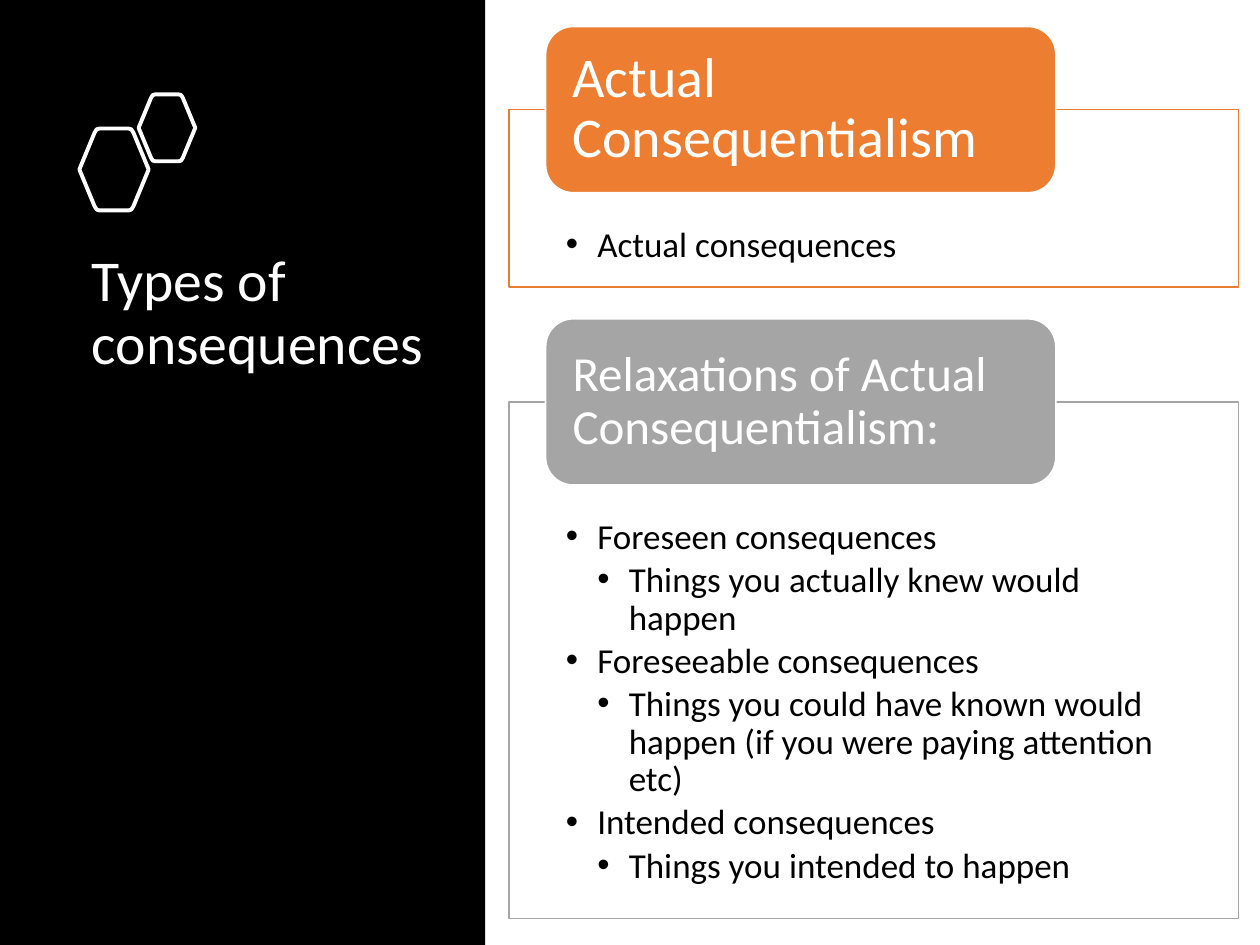
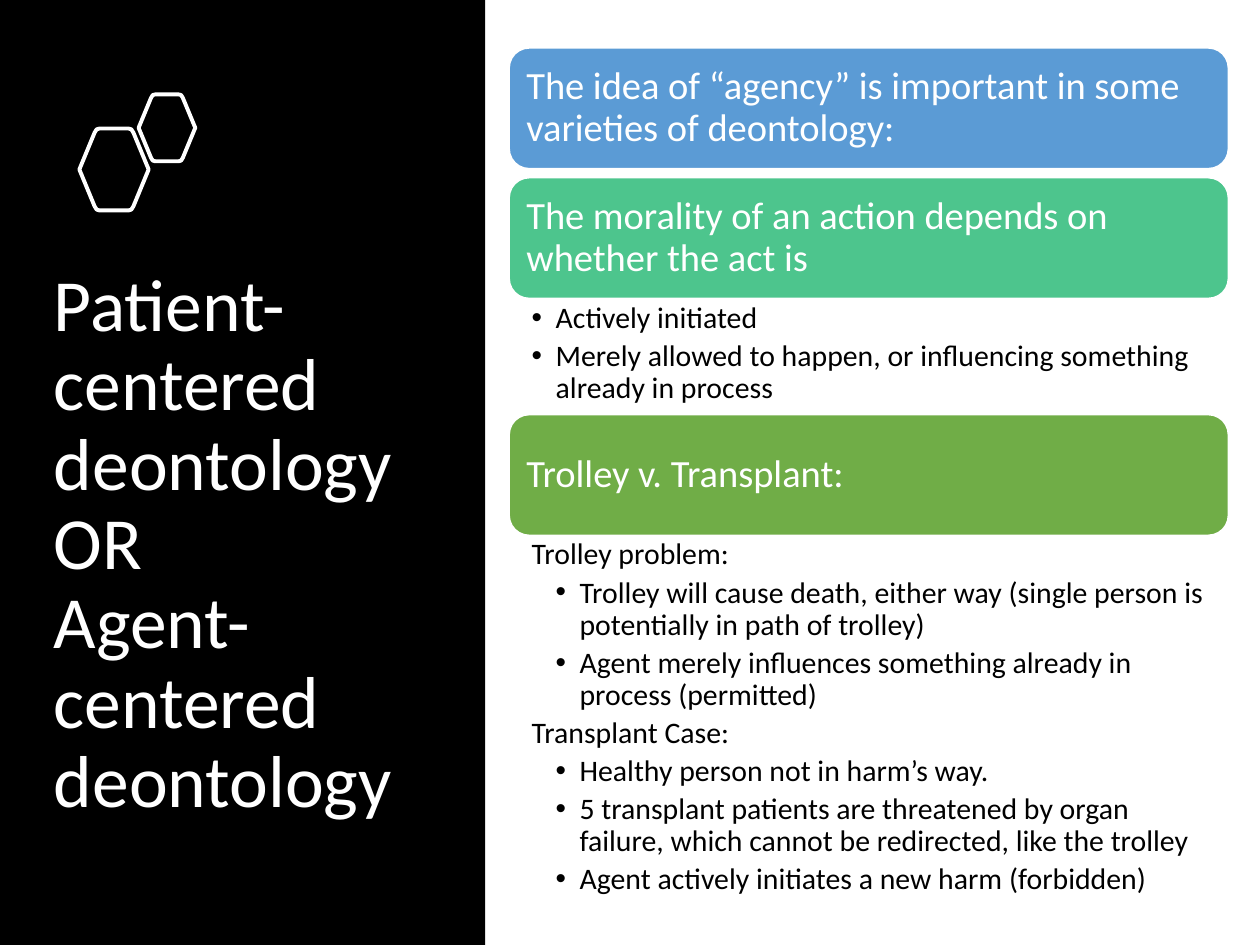
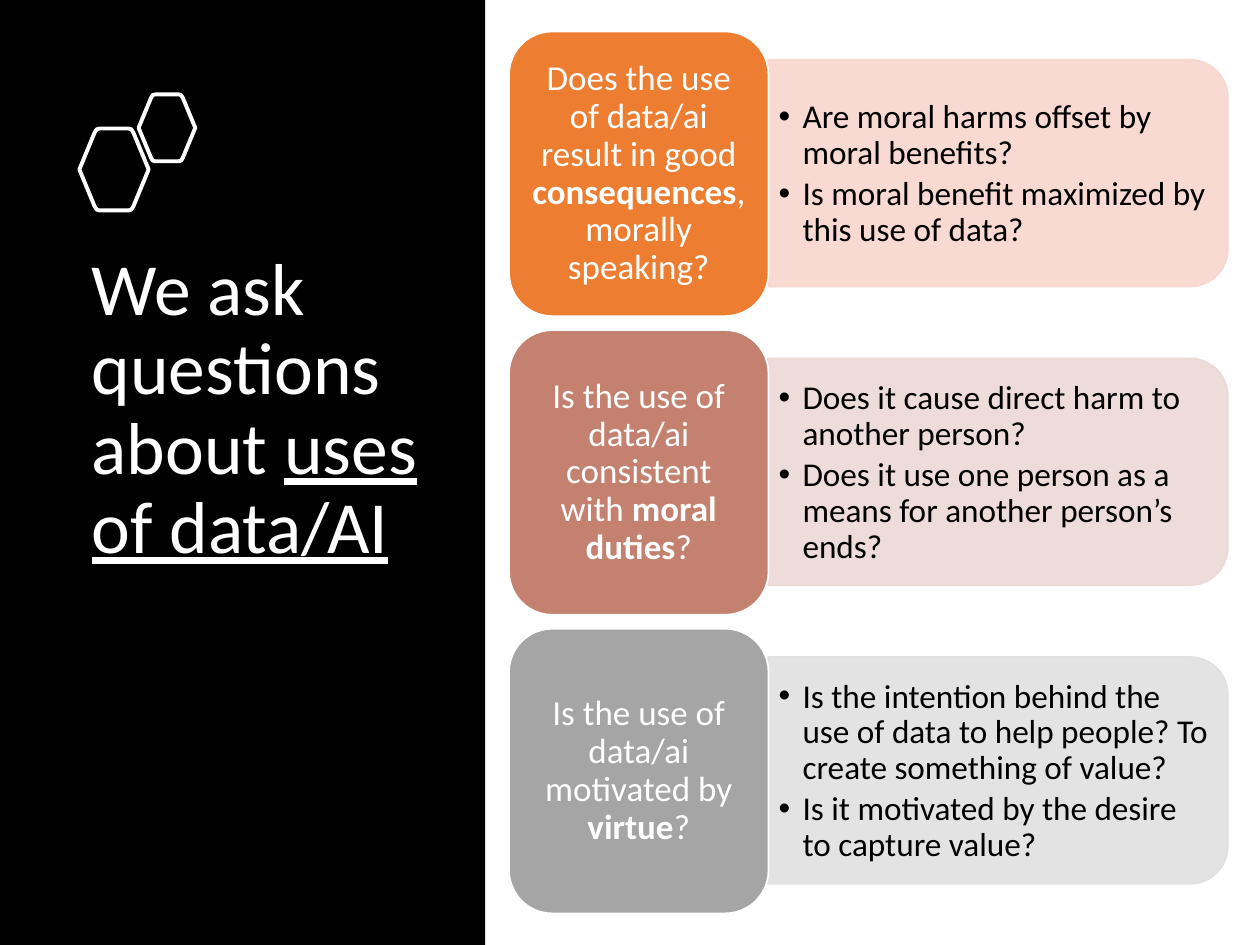
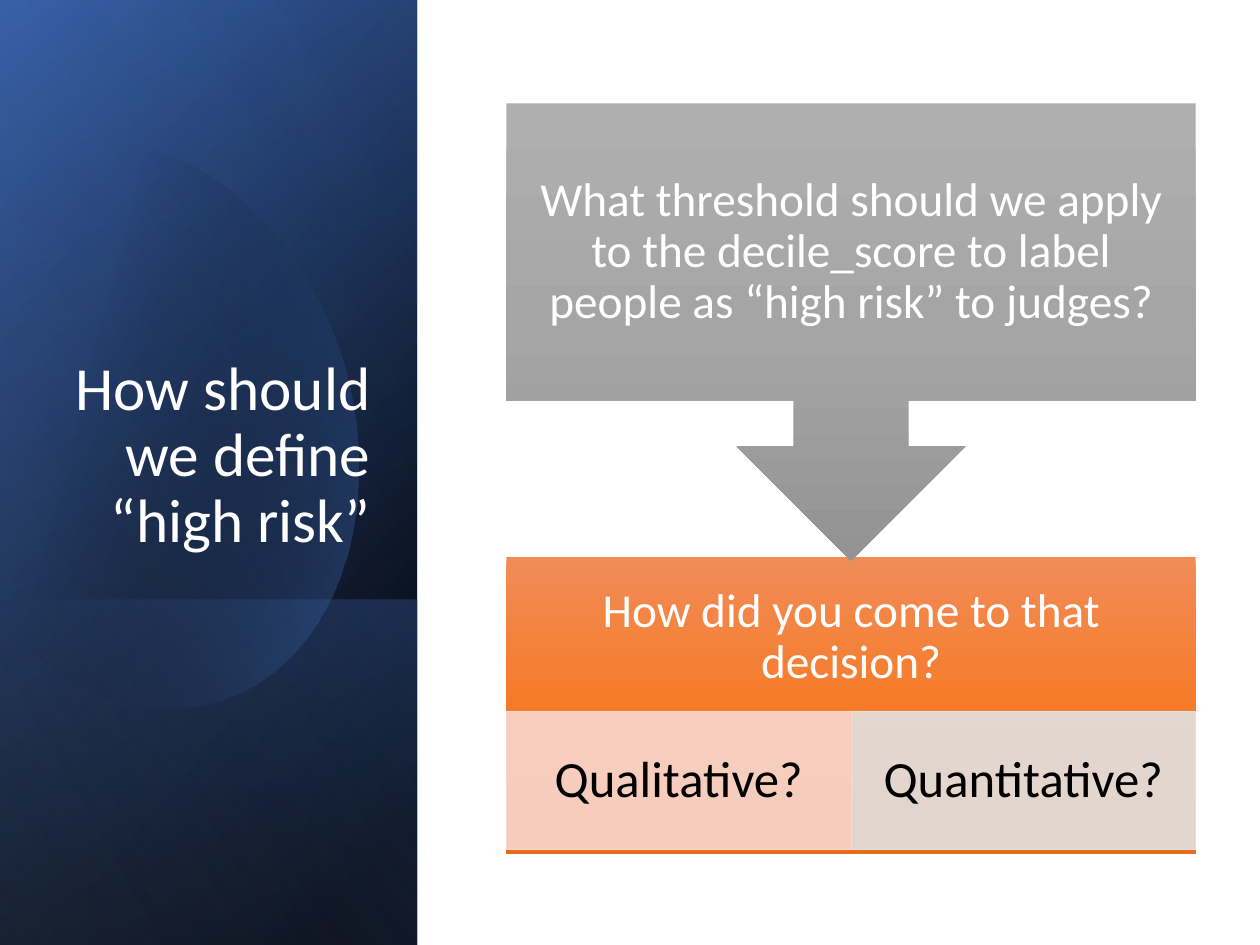
from lxml.etree import SubElement
from pptx import Presentation
from pptx.dml.color import RGBColor
from pptx.enum.shapes import MSO_SHAPE as SHAPE
from pptx.enum.text import MSO_ANCHOR as ANCHOR, PP_ALIGN as ALIGN
from pptx.oxml.ns import qn
from pptx.util import Inches, Pt

FONT = "Calibri"
BLACK, WHITE = "000000", "FFFFFF"
ORANGE, GRAY, BLUE = "ED7D31", "A5A5A5", "4472C4"
PEACH, PALE_GRAY = "F8D7CE", "E1E1E1"


def rgb(color):
    return RGBColor.from_string(color)


def curve(start, c1, c2, end, steps=16):
    """Return points along a cubic curve, without its start."""
    points = []
    for i in range(1, steps + 1):
        t = i / steps
        weights = ((1 - t) ** 3, 3 * t * (1 - t) ** 2, 3 * t * t * (1 - t), t ** 3)
        points.append(tuple(sum(w * q[axis] for w, q in zip(weights, (start, c1, c2, end)))
                            for axis in (0, 1)))
    return points


class Deck:
    """Holds the presentation, its style and the current slide."""

    def __init__(self):
        self.prs = Presentation()
        self.prs.slide_width, self.prs.slide_height = Inches(10), Inches(7.5)
        self.slide = None

    def new_slide(self):
        self.slide = self.prs.slides.add_slide(self.prs.slide_layouts[6])

    def paint(self, s, fill=None, line=None, width=1.0, alpha=100):
        s.shadow.inherit = False
        if fill:
            s.fill.solid()
            s.fill.fore_color.rgb = rgb(fill)
        else:
            s.fill.background()
        if line:
            s.line.color.rgb = rgb(line)
            s.line.width = Pt(width)
        else:
            s.line.fill.background()
        if fill and alpha < 100:
            clr = s._element.spPr.find(qn("a:solidFill")).find(qn("a:srgbClr"))
            SubElement(clr, qn("a:alpha"), val=str(alpha * 1000))

    def gradient(self, s, stops, angle):
        self.paint(s)
        s.fill.gradient()
        s.fill.gradient_angle = (360 - angle) % 360
        stop_list = s._element.spPr.find(qn("a:gradFill")).find(qn("a:gsLst"))
        for old in list(stop_list):
            stop_list.remove(old)
        for pos, color, alpha in stops:
            gs = SubElement(stop_list, qn("a:gs"), pos=str(pos * 1000))
            clr = SubElement(gs, qn("a:srgbClr"), val=color)
            if alpha < 100:
                SubElement(clr, qn("a:alpha"), val=str(alpha * 1000))

    def shape(self, kind, box, **style):
        s = self.slide.shapes.add_shape(kind, *map(Inches, box))
        self.paint(s, **style)
        return s

    def polygon(self, points):
        points = [(Inches(x), Inches(y)) for x, y in points]
        builder = self.slide.shapes.build_freeform(*points[0], scale=1.0)
        builder.add_line_segments(points[1:], close=True)
        return builder.convert_to_shape()

    def frame(self, s, insets, anchor):
        tf = s.text_frame
        tf.word_wrap = True
        tf.vertical_anchor = anchor
        tf.margin_left, tf.margin_top, tf.margin_right, tf.margin_bottom = map(Inches, insets)
        return tf

    def paragraph(self, p, text, size, color, after=0.0, align=ALIGN.LEFT, emphasis="bold"):
        """Fill a paragraph; words between asterisks get the emphasis."""
        p.text, *rest = text.split("*")
        for i, piece in enumerate(rest):
            r = p.add_run()
            r.text = piece
            if emphasis == "underline":
                r.font.underline = i % 2 == 0
            else:
                r.font.bold = i % 2 == 0
        p.alignment = align
        p.line_spacing = 0.9
        p.space_after = Pt(round(size * after, 1))
        for r in p.runs:
            r.font.name, r.font.size = FONT, Pt(size)
            r.font.color.rgb = rgb(color)

    def label(self, s, text, size, insets, color=WHITE, align=ALIGN.LEFT):
        tf = self.frame(s, insets, ANCHOR.MIDDLE)
        self.paragraph(tf.paragraphs[0], text, size, color, 0.35, align)

    def bullets(self, s, items, size, insets, indent, after, anchor=ANCHOR.TOP):
        """Add (level, text) items; level 0 has no bullet."""
        tf = self.frame(s, insets, anchor)
        for i, (level, text) in enumerate(items):
            p = tf.add_paragraph() if i else tf.paragraphs[0]
            self.paragraph(p, text, size, BLACK, after)
            if level:
                pPr = p._p.get_or_add_pPr()
                pPr.set("marL", str(Inches(indent * level)))
                pPr.set("indent", str(-Inches(indent)))
                SubElement(pPr, qn("a:buFont"), typeface="Arial")
                SubElement(pPr, qn("a:buChar"), char="•")

    def textbox(self, box):
        return self.slide.shapes.add_textbox(*map(Inches, box))

    def title(self, text, size, box=(0.63, 1.95, 2.94, 3.5), anchor=ANCHOR.TOP,
              align=ALIGN.LEFT):
        tf = self.frame(self.textbox(box), (0.1, 0.05, 0.1, 0.05), anchor)
        self.paragraph(tf.paragraphs[0], text, size, WHITE, align=align, emphasis="underline")

    def hexagon(self, left, top, width, height):
        corner = [(0.29, 0), (0.25, 0.01), (0.22, 0.05), (0.02, 0.46), (0, 0.5)]
        upper = corner[::-1] + [(1 - x, y) for x, y in corner]
        lower = [(x, 1 - y) for x, y in upper[-2:0:-1]]
        s = self.polygon([(left + x * width, top + y * height) for x, y in upper + lower])
        self.paint(s, line=WHITE, width=2.25)

    def dark_panel(self):
        self.shape(SHAPE.RECTANGLE, (0, 0, 3.85, 7.5), fill=BLACK)
        self.hexagon(0.63, 1.02, 0.55, 0.65)
        self.hexagon(1.1, 0.75, 0.45, 0.53)

    def card(self, box, color, text, size, insets, align=ALIGN.LEFT):
        s = self.shape(SHAPE.ROUNDED_RECTANGLE, box, fill=color, line=WHITE)
        self.label(s, text, size, insets, align=align)

    def turned_panel(self, box, stops, angle):
        """Draw a mirrored gradient rectangle turned by a quarter."""
        left, top, width, height = box
        s = self.shape(SHAPE.RECTANGLE, (left + (width - height) / 2, top + (height - width) / 2,
                                         height, width))
        s.rotation = 90
        s._element.spPr.find(qn("a:xfrm")).set("flipH", "1")
        self.gradient(s, stops, angle)


def consequence_types(deck):
    deck.new_slide()
    deck.dark_panel()
    deck.title("Types of consequences", 33)
    groups = [
        (0.21, 1.41, ORANGE, "Actual Consequentialism", 32, [(1, "Actual consequences")]),
        (2.53, 4.1, GRAY, "Relaxations of Actual Consequentialism:", 28, [
            (1, "Foreseen consequences"),
            (2, "Things you actually knew would happen"),
            (1, "Foreseeable consequences"),
            (2, "Things you could have known would happen (if you were paying attention etc)"),
            (1, "Intended consequences"),
            (2, "Things you intended to happen")]),
    ]
    for top, height, color, heading, size, items in groups:
        s = deck.shape(SHAPE.RECTANGLE, (4.04, top + 0.66, 5.79, height),
                       fill=WHITE, line=color, alpha=90)
        deck.bullets(s, items, 20, (0.45, 0.93, 0.45, 0.16), 0.25, 0.15)
        deck.card((4.33, top, 4.05, 1.32), color, heading, size, (0.15, 0, 0.15, 0))


def deontology(deck):
    deck.new_slide()
    deck.dark_panel()
    left, width, card_height = 4.04, 5.71, 0.96
    sections = [
        (0.38, "5B9BD5", "The idea of “agency” is important in some varieties of deontology:",
         0, []),
        (1.41, "4DC58D", "The morality of an action depends on whether the act is", 0.92, [
            (1, "Actively initiated"),
            (1, "Merely allowed to happen, or influencing something already in process")]),
        (3.29, "70AD47", "Trolley v. Transplant:", 3.04, [
            (0, "Trolley problem:"),
            (2, "Trolley will cause death, either way (single person is potentially in path "
                "of trolley)"),
            (2, "Agent merely influences something already in process (permitted)"),
            (0, "Transplant Case:"),
            (2, "Healthy person not in harm’s way."),
            (2, "5 transplant patients are threatened by organ failure, which cannot be "
                "redirected, like the trolley"),
            (2, "Agent actively initiates a new harm (forbidden)")]),
    ]
    for top, color, heading, height, items in sections:
        deck.card((left, top, width, card_height), color, heading, 22, (0.09,) * 4)
        if items:
            s = deck.textbox((left, top + card_height, width, height))
            deck.bullets(s, items, 17, (0.18, 0.03, 0.17, 0.03), 0.19, 0.2)
    deck.title("Patient-centered deontology\vOR \vAgent-centered\vdeontology", 42,
               (0.33, 1.99, 2.94, 4.68), ANCHOR.MIDDLE)


def data_questions(deck):
    deck.new_slide()
    deck.dark_panel()
    deck.title("We ask questions about *uses of data/AI*", 42)
    rows = [
        (ORANGE, PEACH,
         "Does the use of data/ai result in good *consequences*, morally speaking?",
         ["Are moral harms offset by moral benefits?",
          "Is moral benefit maximized by this use of data?"]),
        ("C48170", "EDD9D7", "Is the use of data/ai consistent with *moral duties*?",
         ["Does it cause direct harm to another person?",
          "Does it use one person as a means for another person’s ends?"]),
        (GRAY, PALE_GRAY, "Is the use of data/ai motivated by *virtue*?",
         ["Is the intention behind the use of data to help people? To create something of value?",
          "Is it motivated by the desire to capture value?"]),
    ]
    insets = (0.08, 0.04, 0.08, 0.04)
    for i, (color, tint, question, answers) in enumerate(rows):
        top = 0.25 + 2.37 * i
        s = deck.shape(SHAPE.ROUND_2_SAME_RECTANGLE, (7.02, top - 0.7, 1.8, 3.65),
                       fill=tint, line=tint, alpha=90)
        s.rotation = 90
        s = deck.textbox((6.1, top + 0.32, 3.57, 1.63))
        deck.bullets(s, [(1, a) for a in answers], 19, insets, 0.19, 0.15, ANCHOR.MIDDLE)
        deck.card((4.04, top, 2.06, 2.26), color, question, 20, insets, ALIGN.CENTER)


def high_risk(deck):
    deck.new_slide()
    panel = (0, 0, 3.31, 7.5)
    deck.turned_panel(panel, [(8, BLACK, 100), (100, "2F5597", 100)], 50)
    deck.turned_panel(panel, [(0, BLACK, 0), (99, BLUE, 46)], 30)
    deck.turned_panel((0, 4.76, 3.31, 2.74), [(2, BLUE, 29), (100, BLACK, 30)], 130)

    outline = [(0.96, 1.14)]
    for c1, c2, end in [((1.71, 1.22), (2.44, 1.92), (2.73, 2.9)),
                        ((3.07, 4.12), (2.62, 5.31), (1.71, 5.57)),
                        ((1.14, 5.74), (0.53, 5.5), (0.07, 5))]:
        outline += curve(outline[-1], c1, c2, end)
    outline += [(0, 4.92), (0, 1.4), (0.2, 1.28), (0.45, 1.18), (0.7, 1.13)]
    deck.gradient(deck.polygon(outline), [(29, BLACK, 0), (100, BLUE, 43)], 14)
    deck.turned_panel(panel, [(0, BLACK, 0), (99, "8FAADC", 11)], 120)
    deck.title("How should we define “high risk”", 35, (0.48, 1.84, 2.56, 2.62),
               ANCHOR.BOTTOM, ALIGN.RIGHT)

    left, width = 4.02, 5.47
    s = deck.shape(SHAPE.RECTANGLE, (left, 4.42, width, 2.36))
    deck.gradient(s, [(0, "F18C57", 100), (50, "F67B28", 100), (100, "E56C19", 100)], 90)
    deck.label(s, "How did you come to that decision?", 27, (0.21, 0.21, 0.21, 1.29),
               align=ALIGN.CENTER)
    for i, (text, tint) in enumerate([("Qualitative?", PEACH), ("Quantitative?", PALE_GRAY)]):
        s = deck.shape(SHAPE.RECTANGLE, (left + i * width / 2, 5.65, width / 2, 1.09),
                       fill=tint, line=tint, width=0.5, alpha=90)
        deck.label(s, text, 29, (0.23, 0.04, 0.23, 0.04), BLACK, ALIGN.CENTER)
    s = deck.shape(SHAPE.DOWN_ARROW_CALLOUT, (left, 0.82, width, 3.63))
    for i, share in enumerate((0.25, 0.25, 0.25, 0.65)):
        s.adjustments[i] = share
    deck.gradient(s, [(0, "AFAFAF", 100), (50, GRAY, 100), (100, "939393", 100)], 90)
    deck.label(s, "What threshold should we apply to the decile_score to label people as "
                  "“high risk” to judges?", 27, (0.21,) * 4, align=ALIGN.CENTER)


def main():
    deck = Deck()
    for build in (consequence_types, deontology, data_questions, high_risk):
        build(deck)
    deck.prs.save("out.pptx")


if __name__ == "__main__":
    main()
